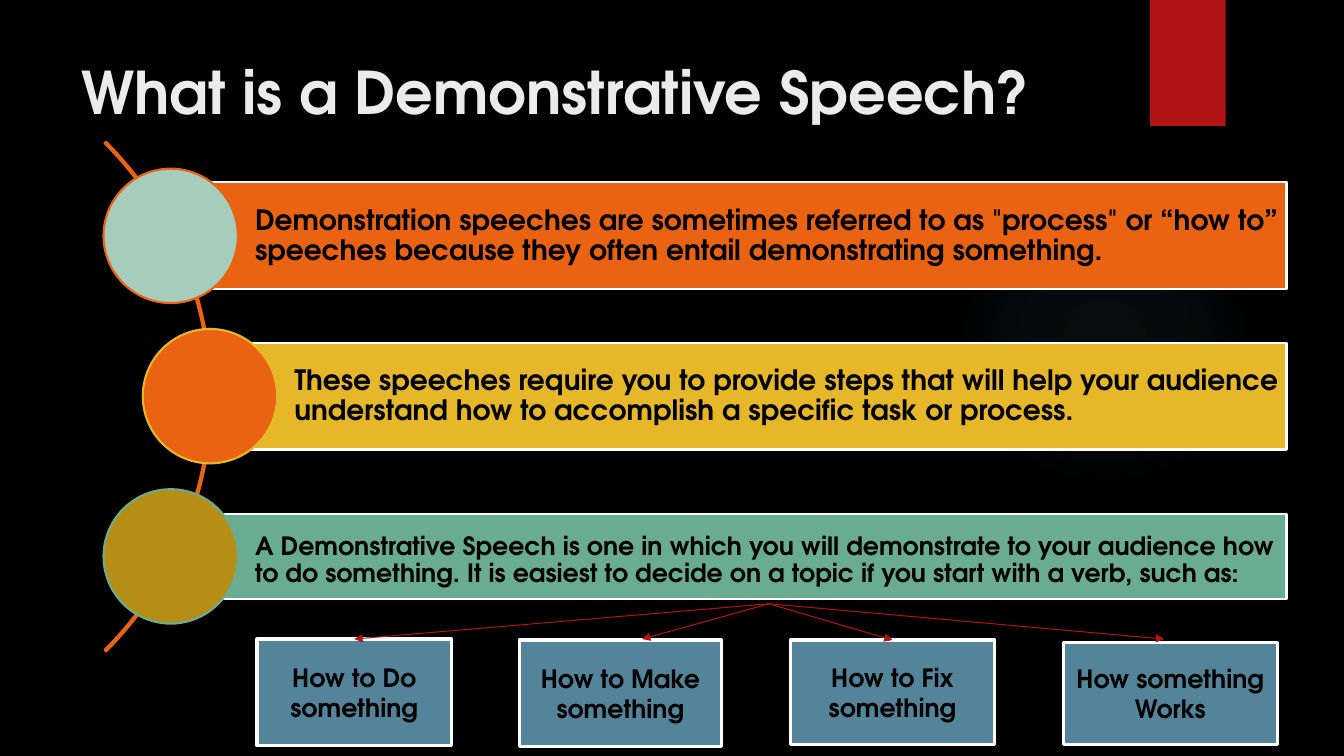
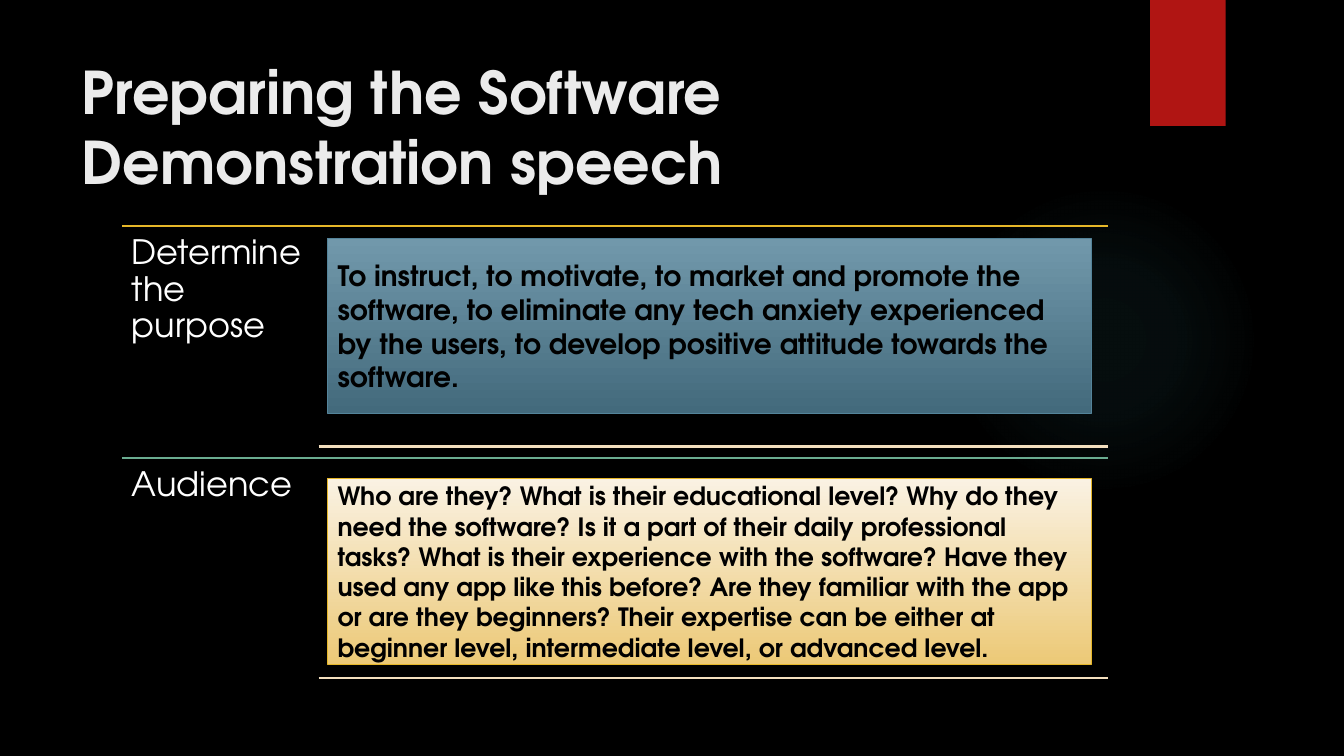
from lxml.etree import SubElement
from pptx import Presentation
from pptx.dml.color import RGBColor
from pptx.enum.shapes import MSO_CONNECTOR as Link, MSO_SHAPE as Form
from pptx.enum.text import MSO_ANCHOR as Anchor, MSO_AUTO_SIZE as Fit, PP_ALIGN as Align
from pptx.oxml import parse_xml
from pptx.oxml.ns import nsdecls, qn
from pptx.util import Emu, Pt

FONT = "TeX Gyre Adventor"
BLACK, WHITE, PALE, RED = "000000", "FFFFFF", "EBEBEB", "B01513"
ORANGE, GOLD, GREEN, BLUE = "EA6312", "E6B729", "6AAC90", "54849A"
CREAM, TEAL, MINT, OLIVE = "F3DFBE", "50B9C1", "A6CDBC", "B68E15"
DOWN = '<a:lin ang="5400000" scaled="0"/>'
ROUND = ('<a:path path="circle"><a:fillToRect l="50000" t="50000" '
         'r="50000" b="50000"/></a:path>')


def px(n):
    return Emu(n * 3048)


def color(code):
    return RGBColor.from_string(code)


class Deck:
    def __init__(self):
        self.show = Presentation()
        self.show.slide_width, self.show.slide_height = px(4000), px(2250)
        self.layout = self.show.slide_layouts[5]
        back = self.layout.background.fill
        back.solid()
        back.fore_color.rgb = color(BLACK)
        self.page = None

    def begin(self, title):
        first = self.page is None
        self.page = self.show.slides.add_slide(self.layout)
        if first:
            self.share()
        head = self.page.shapes.title
        head.left, head.top, head.width, head.height = map(px, (213, 150, 3087, 459))
        self.label(head, title, 42, PALE, anchor=Anchor.TOP)

    def share(self):
        glow = self.shape(Form.OVAL, (2823, 549, 924, 924))
        self.fade(glow, [(0, TEAL, 7), (36, TEAL, 6), (69, TEAL, 0)], ROUND)
        band = self.shape(Form.RECTANGLE, (3423, 0, 225, 375), RED)
        for item in (glow, band):
            self.layout.shapes.element.append(item.element)

    def shape(self, form, box, fill=None, pen=None, wide=1.5):
        item = self.page.shapes.add_shape(form, *map(px, box))
        item.shadow.inherit = False
        if fill:
            item.fill.solid()
            item.fill.fore_color.rgb = color(fill)
        else:
            item.fill.background()
        if pen:
            item.line.color.rgb = color(pen)
            item.line.width = Pt(wide)
        else:
            item.line.fill.background()
        return item

    def fade(self, item, stops, way=DOWN):
        marks = "".join(
            f'<a:gs pos="{at * 1000}"><a:srgbClr val="{tint}">'
            f'<a:alpha val="{alpha * 1000}"/></a:srgbClr></a:gs>'
            for at, tint, alpha in stops)
        props = item.element.spPr
        props.replace(props.find(qn("a:noFill")), parse_xml(
            f'<a:gradFill {nsdecls("a")} rotWithShape="1">'
            f'<a:gsLst>{marks}</a:gsLst>{way}</a:gradFill>'))

    def label(self, item, text, size, tint=BLACK, bold=True, align=Align.LEFT,
              anchor=Anchor.MIDDLE, pad=(30, 15, 30, 15), lead=None):
        frame = item.text_frame
        frame.word_wrap = True
        frame.auto_size = Fit.NONE
        frame.vertical_anchor = anchor
        (frame.margin_left, frame.margin_top,
         frame.margin_right, frame.margin_bottom) = map(px, pad)
        frame.text = text
        para = frame.paragraphs[0]
        para.alignment = align
        if lead:
            para.line_spacing = lead
        font = para.font
        font.name, font.size, font.bold = FONT, Pt(size), bold
        font.color.rgb = color(tint)

    def note(self, box, text):
        item = self.page.shapes.add_textbox(*map(px, box))
        self.label(item, text, 24, WHITE, bold=False, anchor=Anchor.TOP,
                   pad=(30, 30, 30, 30), lead=0.9)

    def rule(self, start, end, tint, wide=1.5, arrow=False):
        item = self.page.shapes.add_connector(Link.STRAIGHT, *map(px, start + end))
        item.line.color.rgb = color(tint)
        item.line.width = Pt(wide)
        props = item.element.spPr
        if arrow:
            SubElement(props.find(qn("a:ln")), qn("a:tailEnd"), type="triangle")
        SubElement(props, qn("a:effectLst"))
        return item


def define(deck):
    deck.begin("What is a Demonstrative Speech?")
    arc = deck.shape(Form.BLOCK_ARC, (-1515, 108, 2145, 2145), pen=ORANGE)
    for i, value in enumerate((189, 27, 0.003)):
        arc.adjustments[i] = value

    bars = [
        (507, 543, 318, ORANGE, MINT, 20, 18,
         'Demonstration speeches are sometimes referred to as "process" or “how to” '
         'speeches because they often entail demonstrating something.'),
        (624, 1020, 318, GOLD, ORANGE, 20, 18,
         "These speeches require you to provide steps that will help your audience "
         "understand how to accomplish a specific task or process."),
        (507, 1530, 252, GREEN, OLIVE, 18, 42,
         "A Demonstrative Speech is one in which you will demonstrate to your audience "
         "how to do something. It is easiest to decide on a topic if you start with "
         "a verb, such as:"),
    ]
    for x, y, high, fill, dot, size, top, text in bars:
        bar = deck.shape(Form.RECTANGLE, (x, y, 3829 - x, high), fill, WHITE)
        deck.label(bar, text, size, pad=(252, top, 15, 15), lead=0.9)
        deck.shape(Form.OVAL, (x - 199, y + high // 2 - 200, 400, 400), dot, fill)

    verbs = [
        ("How to Do something", (765, 1902, 579, 318), (1053, 1902), True),
        ("How to Make something", (1545, 1905, 603, 318), (1911, 1902), False),
        ("How to Fix something", (2352, 1905, 609, 312), (2658, 1905), True),
        ("How something Works", (3165, 1911, 636, 306), (3465, 1902), False),
    ]
    for text, box, tip, joined in verbs:
        card = deck.shape(Form.RECTANGLE, box, BLUE, WHITE, 2.25)
        deck.label(card, text, 18, align=Align.CENTER)
        arrow = deck.rule((2289, 1797), tip, RED, 0.75, arrow=True)
        if joined:
            arrow.end_connect(card, 0)


def prepare(deck):
    deck.begin("Preparing the Software Demonstration speech")
    parts = [
        ("Determine the purpose", GOLD, (711, 519), BLUE, "7198AB", "436A7C", 20,
         "To instruct, to motivate, to market and promote the software, to eliminate "
         "any tech anxiety experienced by the users, to develop positive attitude "
         "towards the software."),
        ("Audience", GREEN, (1425, 552), GOLD, "FAF2E3", "ECC977", 18,
         "Who are they? What is their educational level? Why do they need the software? "
         "Is it a part of their daily professional tasks? What is their experience with "
         "the software? Have they used any app like this before? Are they familiar with "
         "the app or are they beginners? Their expertise can be either at beginner "
         "level, intermediate level, or advanced level."),
    ]
    for i, (name, tint, (top, high), pen, light, dark, size, text) in enumerate(parts):
        y = 672 + i * 690
        deck.rule((363, y), (3297, y), tint)
        deck.note((363, y, 588, 687), name)
        deck.rule((948, y + 657), (3297, y + 657), CREAM)
        card = deck.shape(Form.RECTANGLE, (975, top, 2274, high), pen=pen, wide=0.75)
        deck.fade(card, [(0, light, 100), (100, dark, 100)])
        deck.label(card, text, size)


def main():
    deck = Deck()
    define(deck)
    prepare(deck)
    deck.show.save("out.pptx")


if __name__ == "__main__":
    main()
